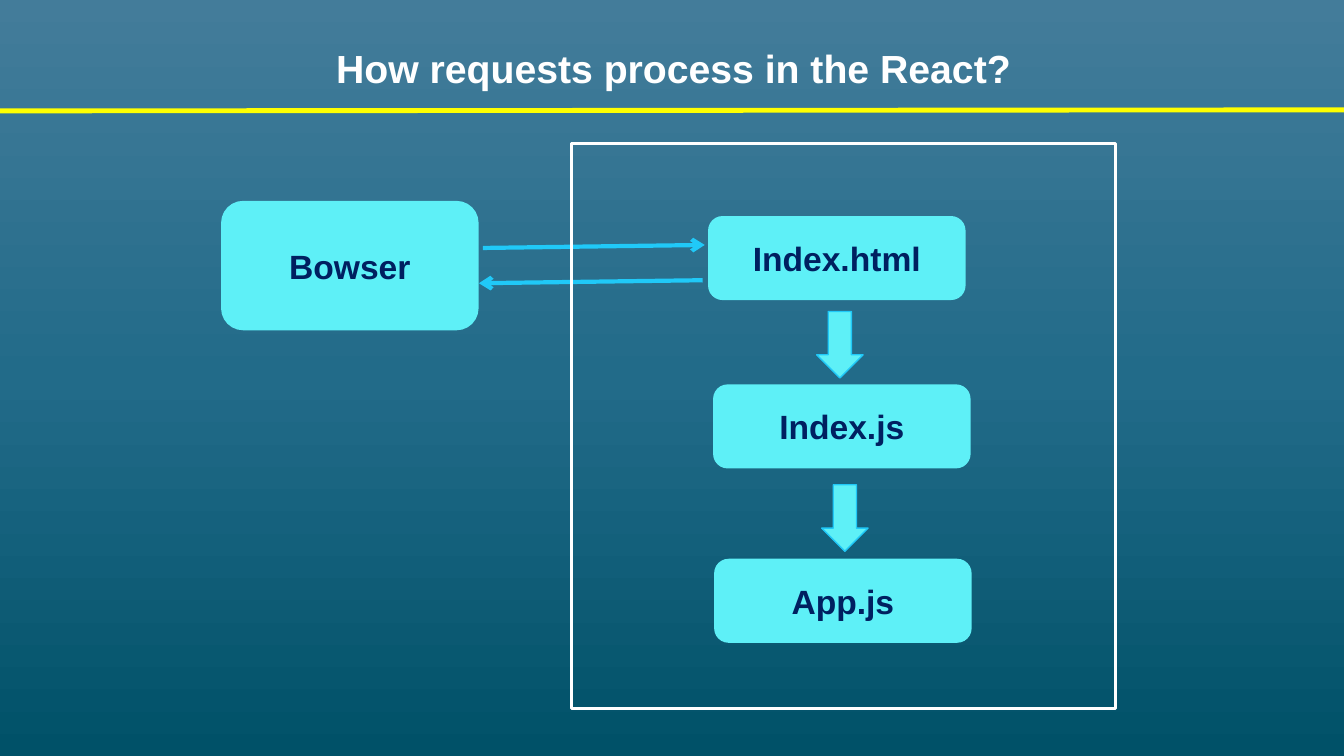
from copy import deepcopy

from lxml.etree import SubElement
from pptx import Presentation
from pptx.dml.color import RGBColor
from pptx.enum.shapes import MSO_CONNECTOR, MSO_SHAPE
from pptx.enum.text import MSO_ANCHOR, PP_ALIGN
from pptx.oxml.ns import qn
from pptx.util import Inches, Pt

COLORS = {
    "sky": "437C9A",
    "sea": "226B89",
    "deep": "005168",
    "box": "5EF0F7",
    "arrow": "20C9F8",
    "rule": "FFFF00",
    "navy": "002060",
    "white": "FFFFFF",
}


def write(shape, text, size, color):
    frame = shape.text_frame
    frame.word_wrap = True
    frame.vertical_anchor = MSO_ANCHOR.MIDDLE
    frame.text = text
    paragraph = frame.paragraphs[0]
    paragraph.alignment = PP_ALIGN.CENTER
    font = paragraph.runs[0].font
    font.name = "Arial"
    font.size = Pt(size)
    font.bold = True
    font.color.rgb = RGBColor.from_string(COLORS[color])


def add_block(preset, place, fill, line, width):
    block = slide.shapes.add_shape(preset, *map(Inches, place))
    block.shadow.inherit = False
    if fill:
        block.fill.solid()
        block.fill.fore_color.rgb = RGBColor.from_string(COLORS[fill])
    else:
        block.fill.background()
    block.line.color.rgb = RGBColor.from_string(COLORS[line])
    block.line.width = Pt(width)
    return block


prs = Presentation()
prs.slide_width = Inches(13.33)
prs.slide_height = Inches(7.5)
slide = prs.slides.add_slide(prs.slide_layouts[6])

backdrop = slide.background.fill
backdrop.gradient()
backdrop.gradient_angle = 270
stop_list = next(slide.element.iter(qn("a:gsLst")))
stop_list.insert(1, deepcopy(stop_list[0]))
for stop, position, color in zip(backdrop.gradient_stops, (0, 0.5, 1), ("sky", "sea", "deep")):
    stop.position = position
    stop.color.rgb = RGBColor.from_string(COLORS[color])

title = slide.shapes.add_textbox(Inches(0.35), Inches(0.31), Inches(12.66), Inches(0.79))
write(title, "How requests process in the React?", 28, "white")
title.text_frame.paragraphs[0].line_spacing = 0.9

files = [("Index.html", 7.03, 2.15), ("Index.js", 7.08, 3.82), ("App.js", 7.09, 5.55)]
boxes = [(name, left, top, 0.82) for name, left, top in files] + [("Bowser", 2.2, 2, 1.27)]
for name, left, top, height in boxes:
    box = add_block(MSO_SHAPE.ROUNDED_RECTANGLE, (left, top, 2.54, height), "box", "box", 1)
    write(box, name, 24, "navy")

lines = [
    ((0, 1.1, 13.33, 1.09), "rule", 3.5, False),
    ((4.79, 2.46, 6.99, 2.43), "arrow", 3, True),
    ((6.97, 2.78, 4.75, 2.81), "arrow", 3, True),
]
for ends, color, width, has_head in lines:
    link = slide.shapes.add_connector(MSO_CONNECTOR.STRAIGHT, *map(Inches, ends))
    link.line.color.rgb = RGBColor.from_string(COLORS[color])
    link.line.width = Pt(width)
    if has_head:
        SubElement(link.line._get_or_add_ln(), qn("a:tailEnd"), type="arrow")
    SubElement(link._element.spPr, qn("a:effectLst"))

for left, top in [(8.1, 3.09), (8.15, 4.81)]:
    add_block(MSO_SHAPE.DOWN_ARROW, (left, top, 0.46, 0.66), "box", "arrow", 1)

add_block(MSO_SHAPE.RECTANGLE, (5.67, 1.42, 5.39, 5.61), None, "white", 2.25)

prs.save("out.pptx")
